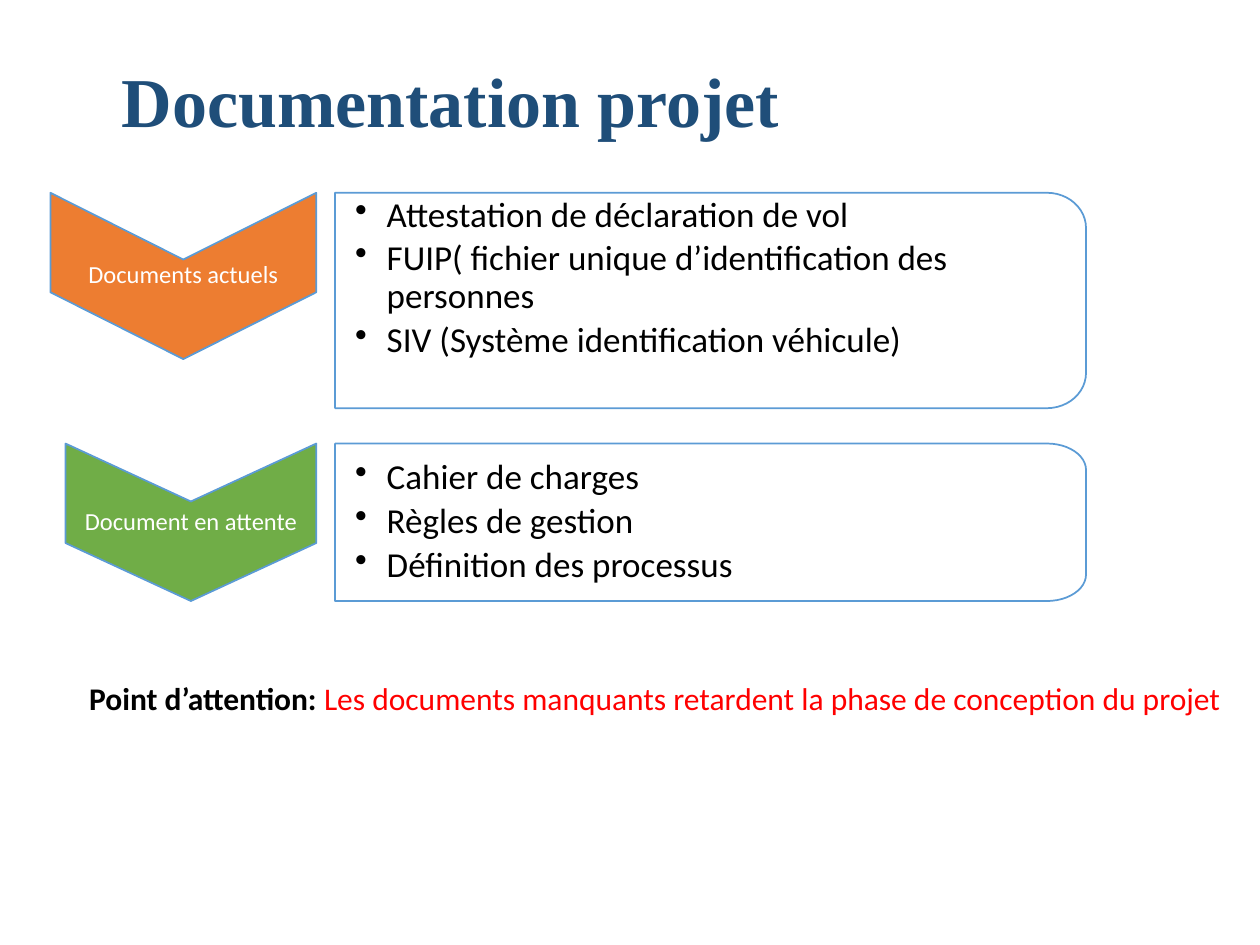
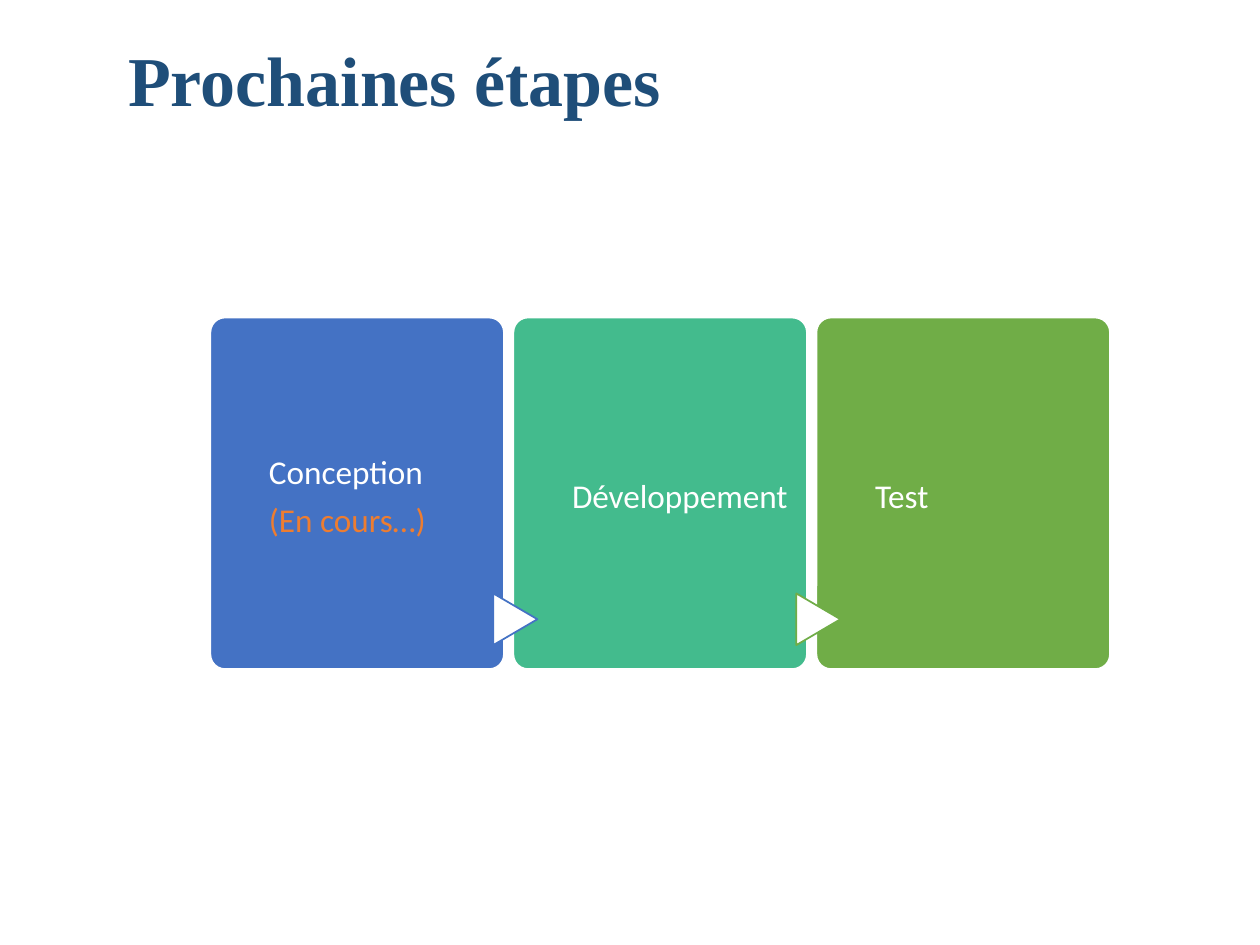
from math import cos, pi, sin
from typing import Any, NamedTuple

from lxml.etree import SubElement
from pptx import Presentation
from pptx.dml.color import RGBColor
from pptx.enum.shapes import MSO_SHAPE as Kind
from pptx.enum.text import MSO_ANCHOR as Anchor, PP_ALIGN as Align
from pptx.oxml.ns import qn
from pptx.util import Inches, Pt

WHITE = RGBColor(0xFF, 0xFF, 0xFF)
BLACK = RGBColor(0x00, 0x00, 0x00)
RED = RGBColor(0xFF, 0x00, 0x00)
NAVY = RGBColor(0x1F, 0x4E, 0x79)
SKY = RGBColor(0x5B, 0x9B, 0xD5)
BLUE = RGBColor(0x44, 0x72, 0xC4)
TEAL = RGBColor(0x43, 0xBB, 0x8D)
GREEN = RGBColor(0x70, 0xAD, 0x47)
ORANGE = RGBColor(0xED, 0x7D, 0x31)

BODY = "Calibri"
HEAD = "Times New Roman"

Point = tuple[float, float]


class Run(NamedTuple):
    text: str
    size: float
    color: RGBColor
    bold: bool = False
    face: str = BODY


class Topic(NamedTuple):
    """A chevron label and the rounded panel of bullets beside it."""
    label: str
    fill: RGBColor
    left: float
    top: float
    drop: float
    tall: float
    curve: float
    foot: float
    items: list[str]


class Step(NamedTuple):
    fill: RGBColor
    edge: RGBColor
    lines: list[Run]


TOPICS = [
    Topic("Documents actuels", ORANGE, 0.4, 1.53, 1.32, 1.71, 0.28, 0.41,
          ["Attestation de déclaration de vol",
           "FUIP( fichier unique d’identification des personnes",
           "SIV (Système identification véhicule)"]),
    Topic("Document en attente", GREEN, 0.52, 3.52, 1.25, 1.25, 0.21, 0.06,
          ["Cahier de charges", "Règles de gestion",
           "Définition des processus"]),
]
STEPS = [
    Step(BLUE, WHITE, [Run("Conception", 19, WHITE),
                       Run("(En cours…)", 19, ORANGE)]),
    Step(TEAL, BLUE, [Run("Développement", 19, WHITE)]),
    Step(GREEN, GREEN, [Run("Test", 19, WHITE)]),
]


def put(item: Any, values: dict[str, Any]) -> None:
    for name, value in values.items():
        setattr(item, name, value)


def inset(frame: Any, left: float, top: float, right: float,
          low: float) -> None:
    """Set the margins of a wrapped frame whose text sits in the middle."""
    put(frame, {"margin_left": Inches(left), "margin_top": Inches(top),
                "margin_right": Inches(right), "margin_bottom": Inches(low),
                "word_wrap": True, "vertical_anchor": Anchor.MIDDLE})


def write(frame: Any, rows: list[list[Run]], **form: Any) -> None:
    """Write one paragraph per row, all with the same paragraph format."""
    for i, row in enumerate(rows):
        para = frame.add_paragraph() if i else frame.paragraphs[0]
        put(para, form)
        for part in row:
            run = para.add_run()
            run.text = part.text
            put(run.font, {"size": Pt(part.size), "bold": part.bold,
                           "name": part.face})
            run.font.color.rgb = part.color


def bullet(para: Any) -> None:
    props = para._p.get_or_add_pPr()
    props.set("marL", str(Inches(0.25)))
    props.set("indent", str(Inches(-0.25)))
    SubElement(props, qn("a:buChar")).set("char", "•")


def paint(shape: Any, fill: RGBColor, edge: RGBColor) -> None:
    shape.shadow.inherit = False
    shape.fill.solid()
    shape.fill.fore_color.rgb = fill
    shape.line.color.rgb = edge
    shape.line.width = Pt(1)


def text_box(slide: Any, left: float, top: float, wide: float,
             tall: float) -> Any:
    box = slide.shapes.add_textbox(Inches(left), Inches(top),
                                   Inches(wide), Inches(tall))
    box.text_frame.word_wrap = True
    return box.text_frame


def preset(slide: Any, kind: Kind, left: float, top: float, wide: float,
           tall: float) -> Any:
    return slide.shapes.add_shape(kind, Inches(left), Inches(top),
                                  Inches(wide), Inches(tall))


def outline(slide: Any, points: list[Point]) -> Any:
    first, *rest = [(Inches(x), Inches(y)) for x, y in points]
    pen = slide.shapes.build_freeform(*first)
    pen.add_line_segments(rest, close=True)
    return pen.convert_to_shape()


def title(slide: Any, text: str, left: float, top: float) -> None:
    frame = text_box(slide, left, top, 8, 0.77)
    write(frame, [[Run(text, 40, NAVY, True, HEAD)]])


def chevron(slide: Any, topic: Topic) -> None:
    left, right, arm = topic.left, 2.51, 0.79
    top, low = topic.top, topic.top + topic.drop
    mid = (left + right) / 2
    shape = outline(slide, [(right, top), (right, top + arm), (mid, low),
                            (left, top + arm), (left, top),
                            (mid, low - arm)])
    paint(shape, topic.fill, SKY)
    pad = topic.drop / 2 - 0.01
    inset(shape.text_frame, 0.01, pad, 0.01, pad)
    write(shape.text_frame, [[Run(topic.label, 14, WHITE)]],
          alignment=Align.CENTER, line_spacing=0.9)


def panel(slide: Any, topic: Topic) -> None:
    """Draw a box with its two right corners rounded, holding bullets."""
    left, right, bend, count = 2.66, 8.62, 0.31, 12
    top, low = topic.top, topic.top + topic.tall
    turns = [i * pi / 2 / count for i in range(count + 1)]
    upper = [(right - bend * (1 - sin(t)), top + topic.curve * (1 - cos(t)))
             for t in turns]
    lower = [(x, top + low - y) for x, y in reversed(upper)]
    shape = outline(slide, [(left, top), *upper, *lower, (left, low)])
    paint(shape, WHITE, SKY)
    color = shape.fill._xPr.find(qn("a:solidFill"))[0]
    SubElement(color, qn("a:alpha")).set("val", "90000")
    frame = shape.text_frame
    inset(frame, 0.16, 0.06, 0.06, topic.foot)
    write(frame, [[Run(item, 20, BLACK)] for item in topic.items],
          alignment=Align.LEFT, line_spacing=0.9, space_after=Pt(3.4))
    for para in frame.paragraphs:
        bullet(para)


def stage(slide: Any, index: int, step: Step) -> None:
    """Draw a step card, with an arrow from the card before it."""
    left, top, tall = 1.67 + index * 2.405, 2.52, 2.79
    card = preset(slide, Kind.ROUNDED_RECTANGLE, left, top, 2.33, tall)
    card.adjustments[0] = 0.05
    paint(card, step.fill, WHITE)
    if index:
        arrow = preset(slide, Kind.FLOWCHART_EXTRACT, left - 0.19, 4.74,
                       0.41, 0.35)
        arrow.rotation = 90
        paint(arrow, WHITE, step.edge)
    frame = text_box(slide, left + 0.465, top, 1.73, tall)
    inset(frame, 0, 0.07, 0, 0)
    write(frame, [[line] for line in step.lines],
          line_spacing=0.9, space_after=Pt(6.6))


def main() -> None:
    deck = Presentation()
    put(deck, {"slide_width": Inches(10), "slide_height": Inches(7.5)})
    blank = deck.slide_layouts[6]

    docs = deck.slides.add_slide(blank)
    title(docs, "Documentation projet", 0.87, 0.41)
    for topic in TOPICS:
        chevron(docs, topic)
        panel(docs, topic)
    note = text_box(docs, 0.61, 5.34, 9.21, 0.4)
    note.word_wrap = False
    write(note, [[Run("Point d’attention: ", 18, BLACK, True),
                  Run("Les documents manquants retardent la phase de "
                      "conception du projet", 18, RED)]])

    plan = deck.slides.add_slide(blank)
    title(plan, "Prochaines étapes", 0.92, 0.24)
    for index, step in enumerate(STEPS):
        stage(plan, index, step)

    deck.save("out.pptx")


if __name__ == "__main__":
    main()
